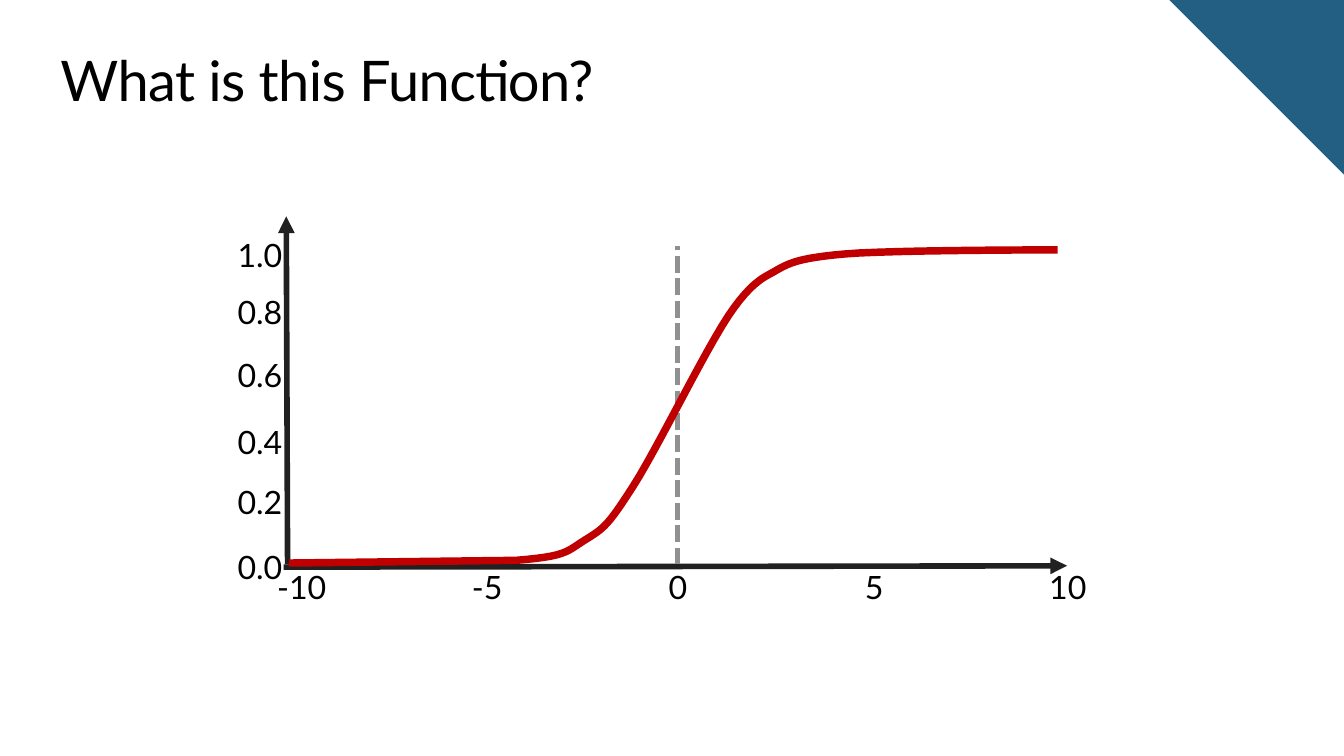
"""Build a slide that shows a sigmoid curve and asks which function it is."""
from pptx import Presentation
from pptx.dml.color import RGBColor
from pptx.enum.dml import MSO_LINE_DASH_STYLE as DASH
from pptx.enum.shapes import MSO_CONNECTOR, MSO_SHAPE
from pptx.enum.text import MSO_ANCHOR, MSO_AUTO_SIZE, PP_ALIGN
from pptx.oxml.ns import qn
from pptx.util import Inches, Pt
from lxml import etree

BLACK = RGBColor(0x00, 0x00, 0x00)
AXIS = RGBColor(0x21, 0x21, 0x21)
GUIDE = RGBColor(0x90, 0x90, 0x90)
CURVE = RGBColor(0xC0, 0x00, 0x00)
CORNER = RGBColor(0x23, 0x5F, 0x83)

FRAME = {"margin_left": 0, "margin_right": 0, "margin_top": 0, "margin_bottom": 0,
         "word_wrap": True, "auto_size": MSO_AUTO_SIZE.SHAPE_TO_FIT_TEXT}
LABEL_W, LABEL_H = 0.4, 0.29
BEZIER_STEPS = 12

prs = Presentation()
prs.slide_width = Inches(10)
prs.slide_height = Inches(10 * 9 / 16)
slide = prs.slides.add_slide(prs.slide_layouts[6])
shapes = slide.shapes


def add_text(text, left, top, width, height, size, align, anchor):
    box = shapes.add_textbox(Inches(left), Inches(top), Inches(width), Inches(height))
    frame = box.text_frame
    for key, value in {**FRAME, "vertical_anchor": anchor}.items():
        setattr(frame, key, value)
    paragraph = frame.paragraphs[0]
    paragraph.alignment = align
    paragraph._p.get_or_add_pPr().set("marL", str(Inches(0.01)))
    run = paragraph.add_run()
    run.text = text
    for key, value in {"name": "Lato", "size": Pt(size)}.items():
        setattr(run.font, key, value)
    run.font.color.rgb = BLACK
    return run


def add_line(start, end, color):
    line = shapes.add_connector(MSO_CONNECTOR.STRAIGHT, *map(Inches, start + end))
    line.line.color.rgb = color
    line.line.width = Pt(3)
    etree.SubElement(line._element.spPr, qn("a:effectLst"))
    return line.line


corner = shapes.add_shape(MSO_SHAPE.RIGHT_TRIANGLE, Inches(8.7), 0, Inches(1.3), Inches(1.3))
corner.rotation = 180
corner.shadow.inherit = False
corner.fill.solid()
corner.fill.fore_color.rgb = CORNER
corner.line.fill.background()

title = add_text("What is this Function?", 0.44, 0.34, 9.23, 0.5, 30,
                 PP_ALIGN.LEFT, MSO_ANCHOR.TOP)
title.font._element.set("spc", "-30")

for start, end in [((2.11, 4.22), (7.94, 4.21)), ((2.14, 4.2), (2.13, 1.61))]:
    axis = add_line(start, end, AXIS)
    etree.SubElement(axis._get_or_add_ln(), qn("a:tailEnd"), type="triangle")

y_ticks = {"0.0": 4.07, "1.0": 1.75, "0.2": 3.59, "0.4": 3.14, "0.6": 2.64, "0.8": 2.17}
for tick, top in y_ticks.items():
    add_text(tick, 1.7, top, LABEL_W, LABEL_H, 17.2, PP_ALIGN.RIGHT, MSO_ANCHOR.MIDDLE)

x_ticks = {"0": 4.84, "-5": 3.42, "-10": 2.04, "5": 6.3, "10": 7.74}
for tick, left in x_ticks.items():
    add_text(tick, left, 4.22, LABEL_W, LABEL_H, 17.2, PP_ALIGN.CENTER, MSO_ANCHOR.MIDDLE)

midline = add_line((5.04, 4.2), (5.04, 1.83), GUIDE)
midline.dash_style = DASH.SQUARE_DOT
midline._get_or_add_ln().find(qn("a:prstDash")).set("val", "sysDash")

bends = [
    [(4.21, 4.14), (4.21, 4.11), (4.35, 4.02)],
    [(4.5, 3.93), (4.53, 3.9), (4.71, 3.62)],
    [(4.89, 3.34), (5.24, 2.62), (5.42, 2.35)],
    [(5.6, 2.08), (5.7, 2.06), (5.78, 2.01)],
    [(5.87, 1.96), (5.94, 1.92), (6.29, 1.89)],
    [(6.64, 1.86), (7.87, 1.86), (7.87, 1.86)],
]
knot = (3.84, 4.17)
curve_points = [knot]
for bend in bends:
    controls = [knot, *bend]
    for step in range(1, BEZIER_STEPS + 1):
        t = step / BEZIER_STEPS
        weights = ((1 - t) ** 3, 3 * t * (1 - t) ** 2, 3 * t ** 2 * (1 - t), t ** 3)
        curve_points.append(tuple(sum(w * c[i] for w, c in zip(weights, controls))
                                  for i in (0, 1)))
    knot = bend[-1]

builder = shapes.build_freeform(Inches(2.15), Inches(4.19))
builder.add_line_segments([(Inches(x), Inches(y)) for x, y in curve_points], close=False)
sigmoid = builder.convert_to_shape()
sigmoid.shadow.inherit = False
sigmoid.fill.background()
sigmoid.line.color.rgb = CURVE
sigmoid.line.width = Pt(4)

prs.save("out.pptx")
